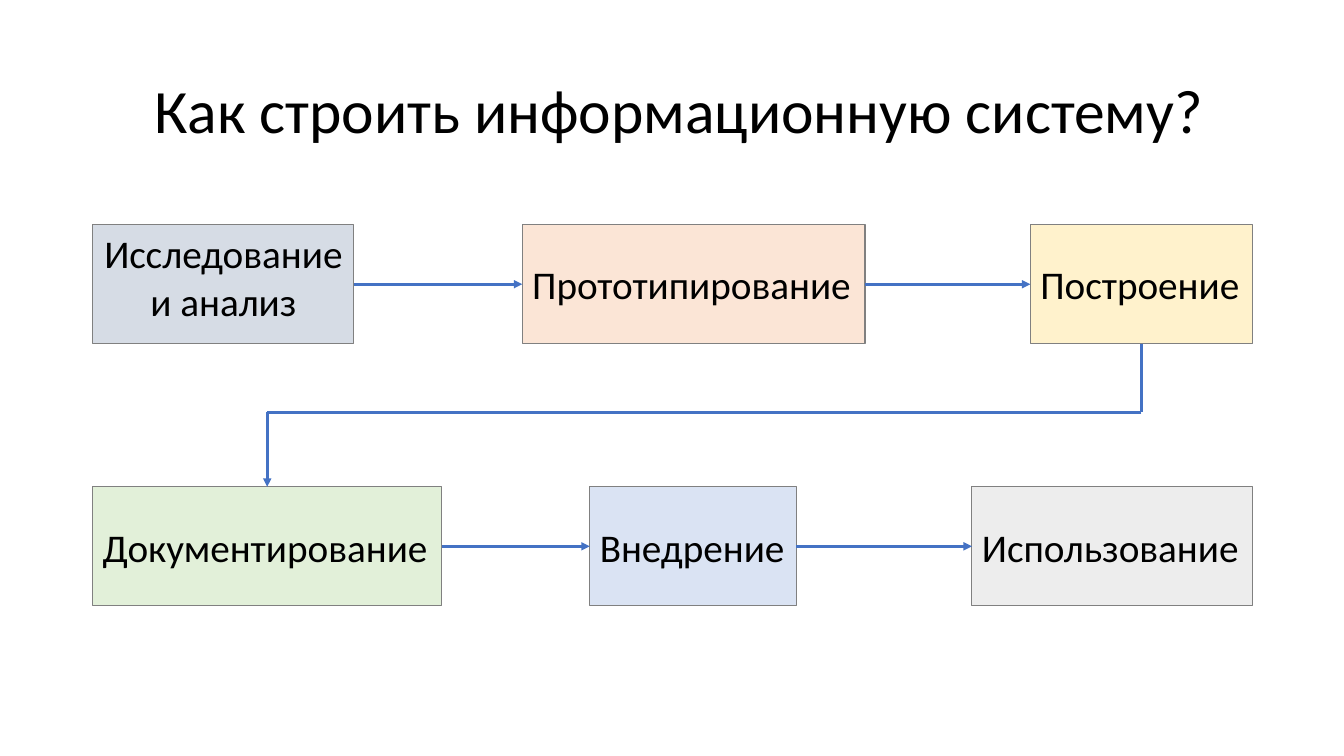
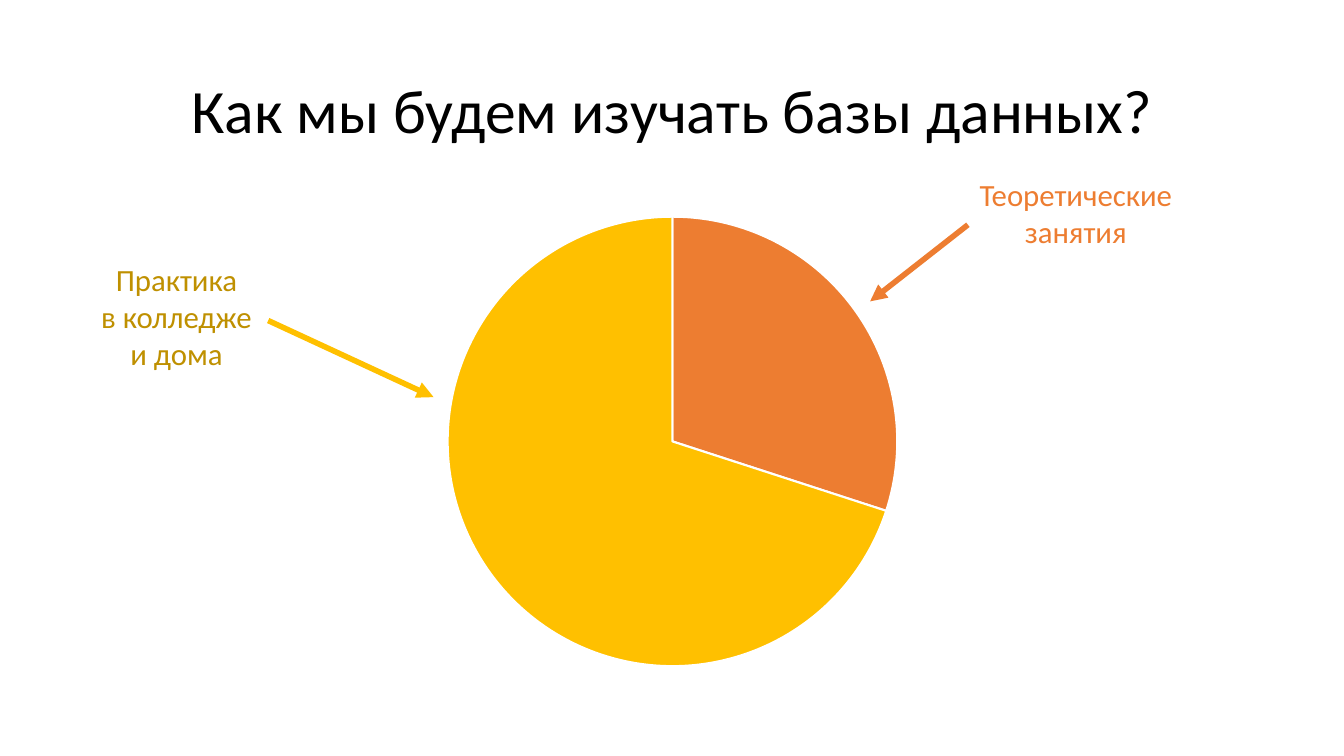
from dataclasses import dataclass
from itertools import pairwise

from lxml.etree import SubElement
from pptx import Presentation
from pptx.chart.data import CategoryChartData
from pptx.dml.color import RGBColor
from pptx.enum.chart import XL_CHART_TYPE as ChartType
from pptx.enum.shapes import MSO_CONNECTOR as Connector, MSO_SHAPE as Shape
from pptx.enum.text import MSO_ANCHOR as Anchor, MSO_AUTO_SIZE as AutoSize, PP_ALIGN as Align
from pptx.oxml.ns import qn
from pptx.util import Inches, Pt

# Shared style
FONT = "Calibri"
BLACK, WHITE, GREY, BLUE = "000000", "FFFFFF", "808080", "4472C4"
ORANGE, GOLD, DARK_GOLD = "ED7D31", "FFC000", "BF9000"
MARGIN, CONTENT_WIDTH = 0.92, 11.5

# Flow geometry
STEP_HEIGHT = 1.18
TOP_ROW, BOTTOM_ROW, TURN = 2.23, 4.83, 4.09

# Pie geometry
CHART_TOP, CHART_HEIGHT, PIE_SIZE = 2, 4.76, 4.46


@dataclass
class Step:
    text: str
    left: float
    width: float
    fill: str
    align: Align = Align.LEFT
    anchor: Anchor = Anchor.MIDDLE

    @property
    def right(self) -> float:
        return self.left + self.width

    @property
    def center(self) -> float:
        return self.left + self.width / 2


@dataclass
class Callout:
    text: str
    box: tuple[float, float, float, float]
    text_color: str
    start: tuple[float, float]
    end: tuple[float, float]
    line_color: str


ROWS = {
    TOP_ROW: [
        Step("Исследование\nи анализ", 0.92, 2.59, "D6DCE5", Align.CENTER, Anchor.TOP),
        Step("Прототипирование", 5.18, 3.4, "FBE5D6"),
        Step("Построение", 10.22, 2.2, "FFF2CC"),
    ],
    BOTTOM_ROW: [
        Step("Документирование", 0.92, 3.46, "E2F0D9"),
        Step("Внедрение", 5.85, 2.05, "DAE3F3"),
        Step("Использование", 9.64, 2.78, "EDEDED"),
    ],
}

CALLOUTS = [
    Callout("Практика\nв колледже\nи дома", (0.89, 2.54, 1.72, 1.21), DARK_GOLD,
            (2.66, 3.18), (4.3, 3.94), GOLD),
    Callout("Теоретические\nзанятия", (9.6, 1.69, 2.14, 0.84), ORANGE,
            (9.6, 2.23), (8.63, 2.99), ORANGE),
]


def rgb(color: str) -> RGBColor:
    return RGBColor.from_string(color)


def apply(target, values: dict) -> None:
    for name, value in values.items():
        setattr(target, name, value)


def write(shape, text: str, size: float, color: str, align: Align,
          anchor: Anchor, wrap: bool = False, spacing: float = 1.0) -> None:
    frame = shape.text_frame
    apply(frame, {"word_wrap": wrap, "auto_size": AutoSize.NONE, "vertical_anchor": anchor})
    para = frame.paragraphs[0]
    para.text = text
    apply(para, {"alignment": align, "line_spacing": spacing})
    for span in para.runs:
        apply(span.font, {"name": FONT, "size": Pt(size)})
        span.font.color.rgb = rgb(color)


def add_titled_page(deck, text: str):
    page = deck.slides.add_slide(deck.slide_layouts[5])
    title = page.shapes.title
    apply(title, {"left": Inches(MARGIN), "top": Inches(0.4),
                  "width": Inches(CONTENT_WIDTH), "height": Inches(1.45)})
    write(title, text, 44, BLACK, Align.CENTER, Anchor.MIDDLE, wrap=True, spacing=0.9)
    return page


def add_line(page, start: tuple[float, float], end: tuple[float, float],
             color: str, width: float, arrow: bool = True) -> None:
    line = page.shapes.add_connector(
        Connector.STRAIGHT, *(Inches(value) for value in (*start, *end)))
    line.line.color.rgb = rgb(color)
    line.line.width = Pt(width)
    if arrow:
        SubElement(line.get_or_add_ln(), qn("a:tailEnd"), type="triangle")
    SubElement(line.element.spPr, qn("a:effectLst"))


def add_step(page, step: Step, top: float) -> None:
    box = page.shapes.add_shape(Shape.RECTANGLE, Inches(step.left), Inches(top),
                                Inches(step.width), Inches(STEP_HEIGHT))
    box.shadow.inherit = False
    box.fill.solid()
    box.fill.fore_color.rgb = rgb(step.fill)
    box.line.color.rgb = rgb(GREY)
    box.line.width = Pt(0.75)
    write(box, step.text, 28, BLACK, step.align, step.anchor)


def add_callout(page, callout: Callout) -> None:
    box = page.shapes.add_textbox(*(Inches(value) for value in callout.box))
    write(box, callout.text, 22, callout.text_color, Align.CENTER, Anchor.TOP)
    add_line(page, callout.start, callout.end, callout.line_color, 4)


def set_plot_area(chart) -> None:
    """Centre the square pie inside the chart frame."""
    area = chart.element.chart.plotArea
    for old in area.findall(qn("c:layout")):
        area.remove(old)
    layout = area.makeelement(qn("c:layout"))
    area.insert(0, layout)
    manual = SubElement(layout, qn("c:manualLayout"))
    width, height = PIE_SIZE / CONTENT_WIDTH, PIE_SIZE / CHART_HEIGHT
    values = {"layoutTarget": "inner", "xMode": "edge", "yMode": "edge",
              "x": (1 - width) / 2, "y": (1 - height) / 2, "w": width, "h": height}
    for name, value in values.items():
        SubElement(manual, qn(f"c:{name}"), val=str(value))


def add_pie(page) -> None:
    data = CategoryChartData()
    data.categories = ["1", "2"]
    data.add_series("Series 1", [30, 70])
    chart = page.shapes.add_chart(
        ChartType.PIE, Inches(MARGIN), Inches(CHART_TOP),
        Inches(CONTENT_WIDTH), Inches(CHART_HEIGHT), data).chart
    apply(chart, {"has_title": False, "has_legend": False})
    apply(chart.font, {"name": FONT, "size": Pt(10)})
    chart.font.color.rgb = rgb(BLACK)
    plot = chart.plots[0]
    plot.vary_by_categories = True
    for index, color in enumerate([ORANGE, GOLD]):
        slice_format = plot.series[0].points[index].format
        slice_format.fill.solid()
        slice_format.fill.fore_color.rgb = rgb(color)
        slice_format.line.color.rgb = rgb(WHITE)
        slice_format.line.width = Pt(1.5)
    set_plot_area(chart)


def build_flow_page(deck) -> None:
    page = add_titled_page(deck, " Как строить информационную систему?")
    for top, steps in ROWS.items():
        for step in steps:
            add_step(page, step, top)
        middle = top + STEP_HEIGHT / 2
        for before, after in pairwise(steps):
            add_line(page, (before.right, middle), (after.left, middle), BLUE, 2)

    # Turn from the end of the top row to the start of the bottom row
    source, target = ROWS[TOP_ROW][-1].center, ROWS[BOTTOM_ROW][0].center
    corners = [(source, TOP_ROW + STEP_HEIGHT), (source, TURN),
               (target, TURN), (target, BOTTOM_ROW)]
    for start, end in pairwise(corners):
        add_line(page, start, end, BLUE, 2, arrow=end == corners[-1])


def build_study_page(deck) -> None:
    page = add_titled_page(deck, "Как мы будем изучать базы данных?")
    add_pie(page)
    for callout in CALLOUTS:
        add_callout(page, callout)


def main() -> None:
    deck = Presentation()
    apply(deck, {"slide_width": Inches(13.33), "slide_height": Inches(7.5)})
    build_flow_page(deck)
    build_study_page(deck)
    deck.save("out.pptx")


if __name__ == "__main__":
    main()
